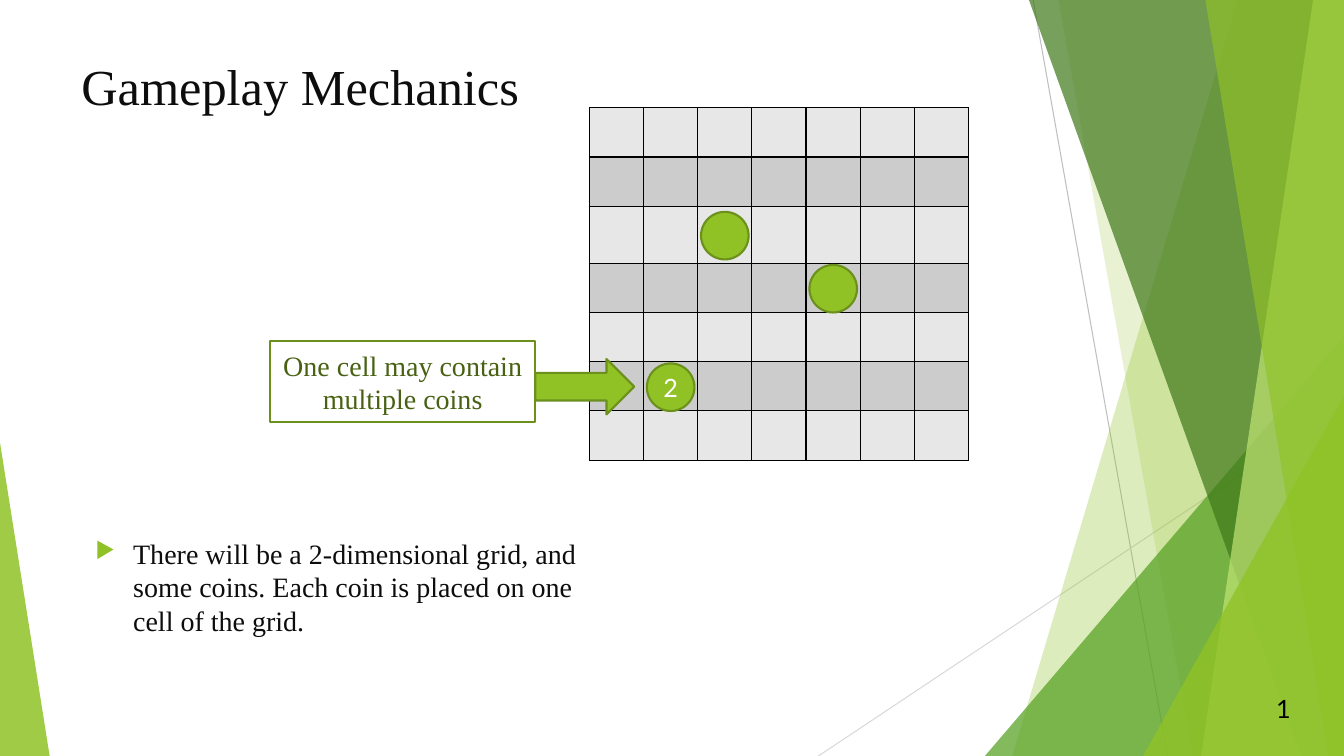
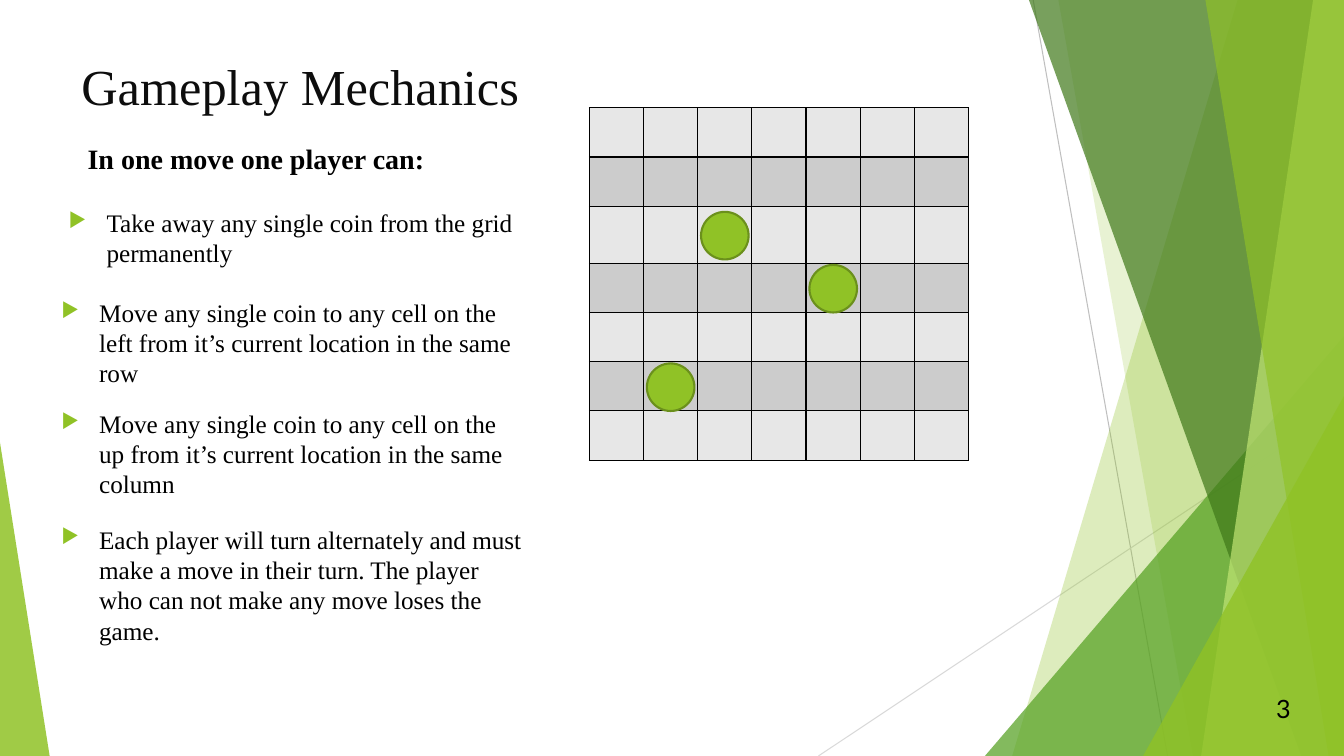
from lxml.etree import SubElement
from pptx import Presentation
from pptx.dml.color import RGBColor
from pptx.enum.shapes import MSO_CONNECTOR as CONN, MSO_SHAPE as SHAPE
from pptx.enum.text import MSO_ANCHOR as ANCHOR, PP_ALIGN as ALIGN
from pptx.oxml.ns import qn
from pptx.util import Pt

WIDTH, HEIGHT = 960, 540
SERIF, SANS = "Times New Roman", "Lato"
LIME, OLIVE, DARK, BLACK, WHITE = "90C226", "6B901C", "0D0D0D", "000000", "FFFFFF"
BANDS = ["E7E7E7", "CCCCCC"]
GRID_BOX = (421, 77, 270.9, 251.8)
GRID_SIZE, TALL_ROW, TALL_HEIGHT = 7, 2, 40.6
COIN = 34


def rgb(value):
    return RGBColor.from_string(value)


def paint(sp, fill=None, line=None, alpha=None):
    sp.shadow.inherit = False
    if fill:
        sp.fill.solid()
        sp.fill.fore_color.rgb = rgb(fill)
    else:
        sp.fill.background()
    if alpha:
        color = sp._element.spPr.find(qn("a:solidFill")).find(qn("a:srgbClr"))
        SubElement(color, qn("a:alpha")).set("val", str(alpha * 1000))
    if line:
        sp.line.color.rgb = rgb(line)
        sp.line.width = Pt(1.5)
    else:
        sp.line.fill.background()


def add_shape(s, kind, box, **look):
    sp = s.shapes.add_shape(kind, *map(Pt, box))
    paint(sp, **look)
    return sp


def write(sp, text, size=18, font=SERIF, color=BLACK, bold=False,
          align=ALIGN.LEFT, anchor=ANCHOR.TOP, wrap=True, bullet=False):
    tf = sp.text_frame
    tf.word_wrap = wrap
    tf.vertical_anchor = anchor
    p = tf.paragraphs[0]
    p.alignment = align
    if bullet:
        add_bullet(p)
    r = p.add_run()
    r.text = text
    r.font.size = Pt(size)
    r.font.name = font
    r.font.bold = bold
    r.font.color.rgb = rgb(color)


def add_bullet(p):
    p.space_before = Pt(10)
    pPr = p._p.get_or_add_pPr()
    pPr.set("marL", str(Pt(27)))
    pPr.set("indent", str(-Pt(27)))
    SubElement(SubElement(pPr, qn("a:buClr")), qn("a:srgbClr")).set("val", LIME)
    SubElement(pPr, qn("a:buSzPct")).set("val", "80000")
    SubElement(pPr, qn("a:buChar")).set("char", "▶")


def add_text(s, box, text, **fmt):
    write(s.shapes.add_textbox(*map(Pt, box)), text, **fmt)


def add_ray(s, start, end, color):
    ray = s.shapes.add_connector(CONN.STRAIGHT, *map(Pt, start + end))
    ray.line.color.rgb = rgb(color)
    ray.line.width = Pt(0.75)
    SubElement(ray._element.spPr, qn("a:effectLst"))


def add_shard(s, top_x, bottom_x, color, alpha):
    builder = s.shapes.build_freeform(Pt(top_x), 0)
    corners = [(WIDTH, 0), (WIDTH, HEIGHT), (bottom_x, HEIGHT)]
    builder.add_line_segments([(Pt(x), Pt(y)) for x, y in corners])
    paint(builder.convert_to_shape(), color, alpha=alpha)


def add_wedge(s, left, top, right, apex, color, alpha):
    box = (left, top, right - left, HEIGHT - top)
    sp = add_shape(s, SHAPE.ISOSCELES_TRIANGLE, box, fill=color, alpha=alpha)
    sp.adjustments[0] = apex


def add_backdrop(s):
    add_ray(s, (738, 0), (834, HEIGHT), "BFBFBF")
    add_ray(s, (WIDTH, 290), (584.6, HEIGHT), "D9D9D9")
    add_shard(s, 884, 723, LIME, 30)
    add_shard(s, 756, 852, LIME, 20)
    add_wedge(s, 703.5, 240, WIDTH, 1, "54A021", 72)
    add_shard(s, 735, 929.5, "3F7819", 70)
    add_shard(s, 938, 858, "C0E474", 70)
    add_shard(s, 861, 949, LIME, 65)
    add_wedge(s, 816.5, 283, WIDTH, 1, LIME, 80)
    add_wedge(s, 0, 316, 35.5, 0, LIME, 85)


def style_cell(cell, fill):
    tcPr = cell._tc.get_or_add_tcPr()
    for side in ("a:lnL", "a:lnR", "a:lnT", "a:lnB"):
        ln = SubElement(tcPr, qn(side), w=str(Pt(1)))
        SubElement(SubElement(ln, qn("a:solidFill")), qn("a:srgbClr")).set("val", BLACK)
    cell.fill.solid()
    cell.fill.fore_color.rgb = rgb(fill)


def add_grid(s, box, coins):
    left, top, width, height = box
    col_width = width / GRID_SIZE
    heights = [(height - TALL_HEIGHT) / (GRID_SIZE - 1)] * GRID_SIZE
    heights[TALL_ROW] = TALL_HEIGHT
    table = s.shapes.add_table(GRID_SIZE, GRID_SIZE, *map(Pt, box)).table
    table.first_row = table.horz_banding = False
    for i in range(GRID_SIZE):
        table.columns[i].width = Pt(col_width)
        table.rows[i].height = Pt(heights[i])
        for cell in table.rows[i].cells:
            style_cell(cell, BANDS[i % 2])
    for row, col, label in coins:
        x = left + (col + 0.5) * col_width - COIN / 2
        y = top + sum(heights[:row]) + (heights[row] - COIN) / 2 + 0.6
        coin = add_shape(s, SHAPE.OVAL, (x, y, COIN, COIN), fill=LIME, line=OLIVE)
        if label:
            write(coin, label, font=SANS, color=WHITE, align=ALIGN.CENTER,
                  anchor=ANCHOR.MIDDLE, wrap=False)


def add_callout(s, box, text):
    left, top, width, height = box
    sp = add_shape(s, SHAPE.RECTANGLE, box, line=OLIVE)
    write(sp, text, size=20, color="486113", align=ALIGN.CENTER, anchor=ANCHOR.MIDDLE)
    add_shape(s, SHAPE.RIGHT_ARROW, (left + width, top + 13, 70.6, 39.6),
              fill=LIME, line=OLIVE)


def add_mechanics_slide(prs, number, bottom_label=""):
    s = prs.slides.add_slide(prs.slide_layouts[6])
    add_backdrop(s)
    add_text(s, (51, 36, 741, 110), "Gameplay Mechanics", size=36, color=DARK)
    add_grid(s, GRID_BOX, [(2, 2, ""), (3, 4, ""), (5, 1, bottom_label)])
    add_text(s, (904.5, 492, 24.5, 29), number, font=SANS, wrap=False)
    return s


def add_placement_slide(prs):
    s = add_mechanics_slide(prs, "1", "2")
    add_callout(s, (193, 243.4, 189.4, 58.3), "One cell may contain multiple coins")
    add_text(s, (61, 379.5, 368.6, 110),
             "There will be a 2-dimensional grid, and some coins. "
             "Each coin is placed on one cell of the grid.",
             size=20, color=DARK, bullet=True)


def add_moves_slide(prs):
    s = add_mechanics_slide(prs, "3")
    add_text(s, (55.5, 97.2, 257, 31.5), "In one move one player can:",
             size=20, bold=True, wrap=False)
    rules = [
        (42, 144.7, 83, "Take away any single coin from the grid permanently"),
        (36.7, 208.8, 83, "Move any single coin to any cell on the left from "
                          "it’s current location in the same row"),
        (36.7, 288, 83, "Move any single coin to any cell on the up from "
                        "it’s current location in the same column"),
        (36.7, 370.8, 112, "Each player will turn alternately and must make a move in "
                           "their turn. The player who can not make any move loses the game."),
    ]
    for left, top, height, text in rules:
        add_text(s, (left, top, 345, height), text, bullet=True)


def main():
    prs = Presentation()
    prs.slide_width, prs.slide_height = Pt(WIDTH), Pt(HEIGHT)
    add_placement_slide(prs)
    add_moves_slide(prs)
    prs.save("out.pptx")


if __name__ == "__main__":
    main()
